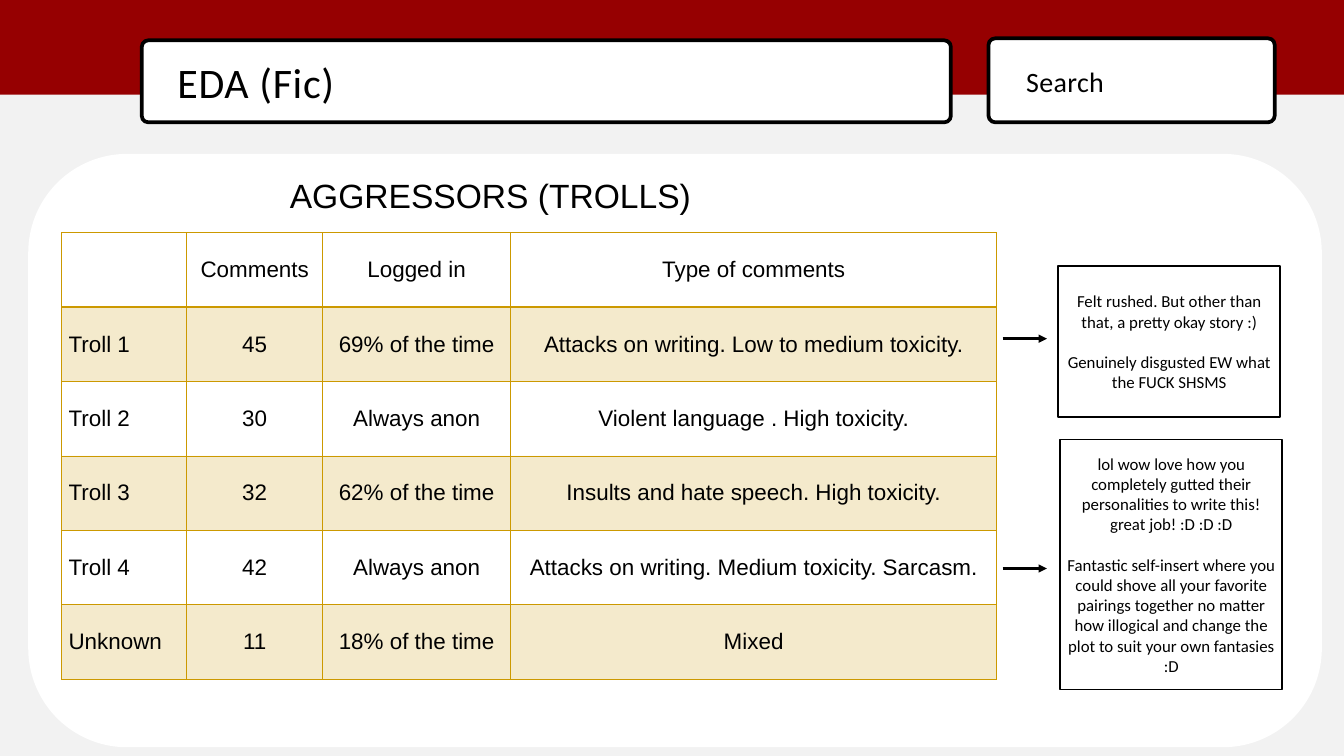
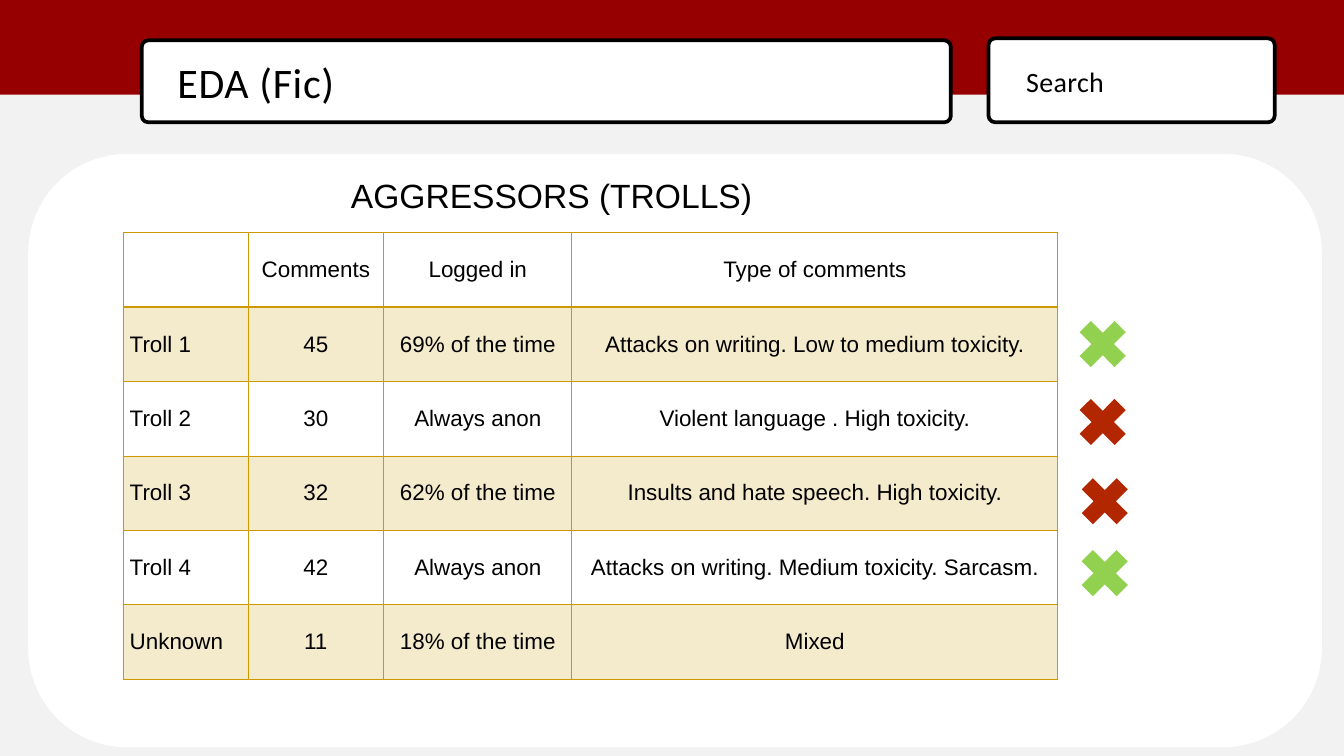
from lxml import etree
from pptx import Presentation
from pptx.dml.color import RGBColor
from pptx.enum.shapes import MSO_CONNECTOR, MSO_SHAPE
from pptx.enum.text import MSO_ANCHOR, MSO_AUTO_SIZE, PP_ALIGN
from pptx.oxml.ns import qn
from pptx.util import Inches, Pt

RECTANGLE, ROUNDED = MSO_SHAPE.RECTANGLE, MSO_SHAPE.ROUNDED_RECTANGLE
CROSS, STRAIGHT = MSO_SHAPE.MATH_MULTIPLY, MSO_CONNECTOR.STRAIGHT
LEFT, CENTER = PP_ALIGN.LEFT, PP_ALIGN.CENTER
TOP, MIDDLE = MSO_ANCHOR.TOP, MSO_ANCHOR.MIDDLE
NO_AUTOFIT = MSO_AUTO_SIZE.NONE

BLACK, WHITE, GRAY = "000000", "FFFFFF", "F2F2F2"
BANNER_RED, GOLD = "960001", "CC9900"
GREEN, RED = "92D050", "B22600"

TITLE_FORMAT = {"name": "Calibri", "size": Pt(45)}
SEARCH_FORMAT = {"name": "Calibri", "size": Pt(30)}
HEADING_FORMAT = {"name": "Arial", "size": Pt(36)}
CELL_FORMAT = {"name": "Arial", "size": Pt(24)}
QUOTE_FORMAT = {"name": "Calibri", "size": Pt(18)}

COLUMN_WIDTHS = [1.86, 2.02, 2.8, 7.23]
TABLE_TOP, TABLE_HEIGHT = 3.46, 6.65
TROLLS = [
    ("", "Comments", "Logged in", "Type of comments"),
    ("Troll 1", "45", "69% of the time", "Attacks on writing. Low to medium toxicity."),
    ("Troll 2", "30", "Always anon", "Violent language . High toxicity."),
    ("Troll 3", "32", "62% of the time", "Insults and hate speech. High toxicity."),
    ("Troll 4", "42", "Always anon", "Attacks on writing. Medium toxicity. Sarcasm."),
    ("Unknown", "11", "18% of the time", "Mixed"),
]

# Each callout: box left, top, height, arrow height on the slide, quotes
CALLOUTS = [
    (15.75, 3.96, 2.25, 5.04, [
        "Felt rushed. But other than that, a pretty okay story :)",
        "Genuinely disgusted EW what the FUCK SHSMS"]),
    (15.78, 6.54, 3.72, 8.46, [
        "lol wow love how you completely gutted their personalities to write "
        "this! great job! :D :D :D",
        "Fantastic self-insert where you could shove all your favorite pairings "
        "together no matter how illogical and change the plot to suit your own "
        "fantasies :D"]),
]
CROSSES = [(15.91, 4.62, GREEN), (15.91, 5.78, RED),
           (15.94, 6.96, RED), (15.94, 8.03, GREEN)]


def color(value):
    return RGBColor.from_string(value)


def inches(*values):
    return [Inches(value) for value in values]


def write(paragraph, text, text_format, alignment=LEFT, spacing=None):
    paragraph.alignment = alignment
    run = paragraph.add_run()
    run.text = text
    for name, value in text_format.items():
        setattr(run.font, name, value)
    run.font.color.rgb = color(BLACK)
    if spacing:
        run._r.get_or_add_rPr().set("spc", str(spacing))


def add_block(slide, kind, box, fill, line_width=0):
    shape = slide.shapes.add_shape(kind, *inches(*box))
    shape.shadow.inherit = False
    shape.fill.solid()
    shape.fill.fore_color.rgb = color(fill)
    if line_width:
        shape.line.color.rgb = color(BLACK)
        shape.line.width = Pt(line_width)
    else:
        shape.line.fill.background()
    return shape


def add_frame(slide, box):
    """A white bar with a thick black outline and small round corners."""
    frame = add_block(slide, ROUNDED, box, WHITE, 4)
    frame.adjustments[0] = 0.08


def set_bar_text(shape, text, text_format, line_height, spacing):
    frame = shape.text_frame
    settings = {"margin_left": 0, "margin_top": 0, "margin_right": 0,
                "margin_bottom": 0, "vertical_anchor": TOP,
                "auto_size": NO_AUTOFIT, "word_wrap": True}
    for name, value in settings.items():
        setattr(frame, name, value)
    paragraph = frame.paragraphs[0]
    paragraph.line_spacing = Pt(line_height)
    write(paragraph, text, text_format, spacing=spacing)


def add_page(presentation, title):
    """A slide with the white panel, red banner, search bar and title bar."""
    slide = presentation.slides.add_slide(presentation.slide_layouts[5])
    add_block(slide, ROUNDED, (0.42, 2.29, 19.25, 8.83), WHITE)
    add_block(slide, RECTANGLE, (0, 0, 20, 1.41), BANNER_RED)

    add_frame(slide, (14.71, 0.57, 4.26, 1.25))
    search = slide.shapes.add_textbox(*inches(15.27, 0.88, 2.26, 0.53))
    set_bar_text(search, "Search", SEARCH_FORMAT, 42, 40)

    add_frame(slide, (2.11, 0.6, 12.04, 1.22))
    heading = slide.shapes.title
    heading.left, heading.top, heading.width, heading.height = inches(
        2.64, 0.71, 10.97, 0.88)
    set_bar_text(heading, title, TITLE_FORMAT, 63, 70)
    # Bring the title in front of its bar
    slide.shapes._spTree.append(heading._element)
    return slide


def set_border(cell, side, width):
    properties = cell._tc.get_or_add_tcPr()
    line = etree.SubElement(properties, qn(f"a:{side}"), w=str(Pt(width)))
    fill = etree.SubElement(line, qn("a:solidFill"))
    etree.SubElement(fill, qn("a:srgbClr"), val=GOLD)


def fill_cell(cell, tinted):
    if not tinted:
        cell.fill.background()
        return
    cell.fill.solid()
    cell.fill.fore_color.rgb = color(GOLD)
    tint = cell._tc.tcPr.find(f".//{qn('a:solidFill')}[last()]")
    tint = cell._tc.tcPr.findall(qn("a:solidFill"))[0][0]
    etree.SubElement(tint, qn("a:alpha"), val="20000")


def add_troll_table(slide, left):
    heading = slide.shapes.add_textbox(*inches(left + 3.08, 2.55, 6.6, 0.71))
    heading.text_frame.word_wrap = True
    paragraph = heading.text_frame.paragraphs[0]
    paragraph.space_after = Pt(12)
    write(paragraph, "AGGRESSORS (TROLLS)", HEADING_FORMAT, CENTER)

    table = slide.shapes.add_table(
        len(TROLLS), len(COLUMN_WIDTHS),
        *inches(left, TABLE_TOP, sum(COLUMN_WIDTHS), TABLE_HEIGHT)).table
    table.first_row = table.horz_banding = False
    for column, width in zip(table.columns, COLUMN_WIDTHS):
        column.width = Inches(width)
    for row_index, texts in enumerate(TROLLS):
        table.rows[row_index].height = Inches(TABLE_HEIGHT / len(TROLLS))
        for column_index, text in enumerate(texts):
            cell = table.cell(row_index, column_index)
            cell.vertical_anchor = MIDDLE
            # The rule under the header row is thicker
            for side in ("lnL", "lnR", "lnT", "lnB"):
                thick = (row_index, side) in ((0, "lnB"), (1, "lnT"))
                set_border(cell, side, 2 if thick else 1)
            fill_cell(cell, row_index % 2 == 1)
            if text:
                write(cell.text_frame.paragraphs[0], text, CELL_FORMAT,
                      CENTER if column_index else LEFT)


def add_arrow(slide, start, end, height):
    arrow = slide.shapes.add_connector(
        STRAIGHT, *inches(start, height, end, height))
    arrow.line.color.rgb = color(BLACK)
    arrow.line.width = Pt(3)
    etree.SubElement(arrow.line._get_or_add_ln(), qn("a:tailEnd"), type="triangle")
    etree.SubElement(arrow._element.spPr, qn("a:effectLst"))


def add_callout(slide, left, top, height, arrow_height, quotes):
    box = add_block(slide, RECTANGLE, (left, top, 3.3, height), WHITE, 2)
    frame = box.text_frame
    frame.word_wrap = True
    frame.vertical_anchor = MIDDLE
    for index, quote in enumerate(quotes):
        paragraph = frame.add_paragraph() if index else frame.paragraphs[0]
        if index:
            paragraph.space_before = Pt(22)
        write(paragraph, quote, QUOTE_FORMAT, CENTER)
    add_arrow(slide, 14.92, 15.58, arrow_height)


def main():
    presentation = Presentation()
    presentation.slide_width, presentation.slide_height = inches(20, 11.25)
    background = presentation.slide_master.background.fill
    background.solid()
    background.fore_color.rgb = color(GRAY)

    # Trolls with sample comments
    slide = add_page(presentation, "EDA (Fic)")
    add_troll_table(slide, 0.92)
    for callout in CALLOUTS:
        add_callout(slide, *callout)

    # Trolls marked with crosses
    slide = add_page(presentation, "EDA (Fic)")
    add_troll_table(slide, 1.83)
    for left, top, fill in CROSSES:
        add_block(slide, CROSS, (left, top, 1, 1), fill)

    presentation.save("out.pptx")


if __name__ == "__main__":
    main()
